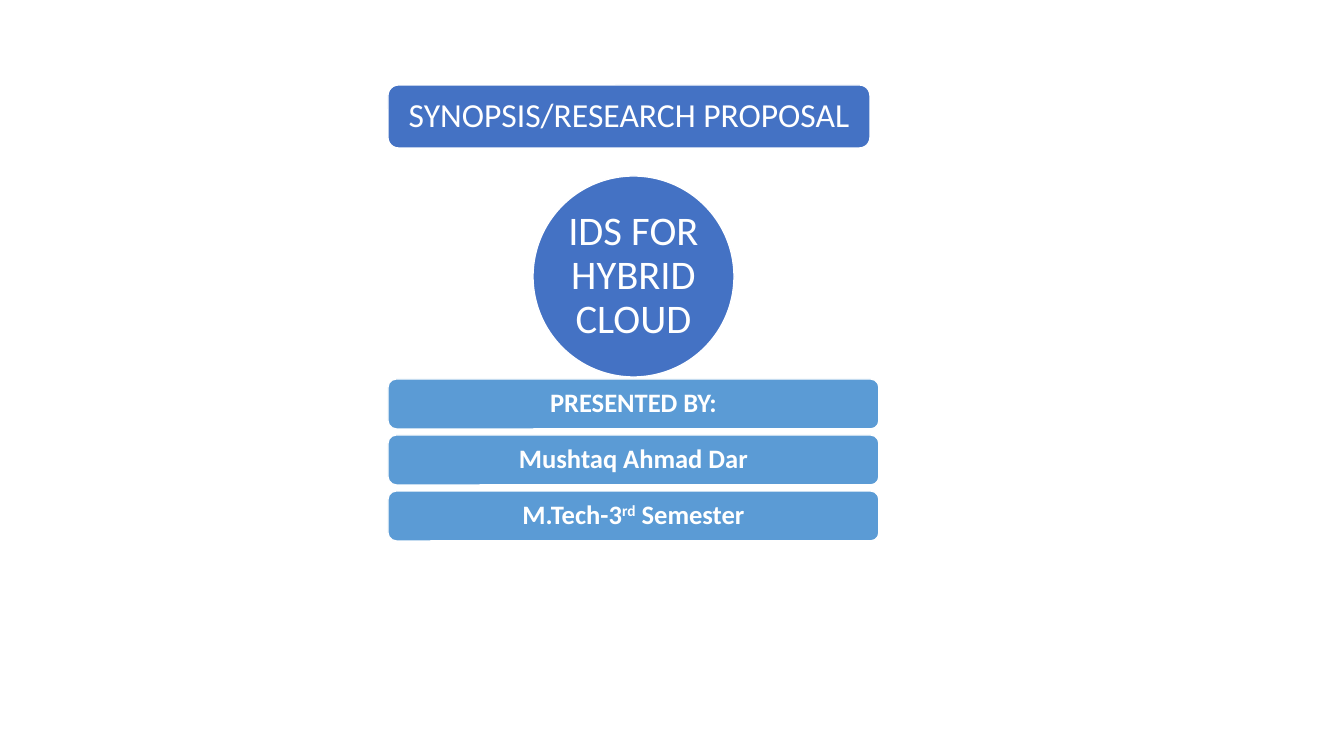
from pptx import Presentation
from pptx.dml.color import RGBColor
from pptx.enum.shapes import MSO_SHAPE
from pptx.enum.text import MSO_ANCHOR, MSO_AUTO_SIZE, PP_ALIGN
from pptx.util import Emu, Pt

ROUND, OVAL = MSO_SHAPE.ROUNDED_RECTANGLE, MSO_SHAPE.OVAL
MIDDLE, CENTER, NO_FIT = MSO_ANCHOR.MIDDLE, PP_ALIGN.CENTER, MSO_AUTO_SIZE.NONE

WHITE = RGBColor(0xFF, 0xFF, 0xFF)
NAVY = RGBColor(0x44, 0x72, 0xC4)
SKY = RGBColor(0x5B, 0x9B, 0xD5)

SIDES = ("left", "top", "width", "height")
WIDE, HIGH = 1344, 756
TITLE_BOX = (388, 85, 482, 63)
TOPIC_BOX = (533, 176, 201, 201)
BAR_BOX = (388, 379, 491, 50)
BAR_STEP = 56
BARS = (
    (("PRESENTED BY:", False),),
    (("Mushtaq Ahmad Dar", False),),
    (("M.Tech-3", False), ("rd", True), (" Semester", False)),
)


def px(n):
    return Emu(round(n * 914400 / 100.8))


def assign(target, values):
    for name, value in values.items():
        setattr(target, name, value)


class Deck:
    font = "Calibri"

    def __init__(self):
        self.prs = Presentation()
        assign(self.prs, {"slide_width": px(WIDE), "slide_height": px(HIGH)})
        self.slide = self.prs.slides.add_slide(self.prs.slide_layouts[5])

    def label(self, shape, runs, size, pad, bold=False):
        """Fill a shape with one centred paragraph of (text, raised) runs."""
        frame = shape.text_frame
        assign(frame, {"word_wrap": True, "auto_size": NO_FIT,
                       "vertical_anchor": MIDDLE})
        assign(frame, {f"margin_{side}": px(pad)
                       for side in ("left", "top", "right", "bottom")})
        para = frame.paragraphs[0]
        assign(para, {"alignment": CENTER, "line_spacing": 0.9})
        for text, raised in runs:
            run = para.add_run()
            run.text = text
            assign(run.font, {"name": self.font, "size": Pt(size), "bold": bold})
            run.font.color.rgb = WHITE
            if raised:
                run.font._element.set("baseline", "30000")

    def plate(self, kind, box, fill):
        shape = self.slide.shapes.add_shape(kind, *map(px, box))
        shape.shadow.inherit = False
        shape.fill.solid()
        shape.fill.fore_color.rgb = fill
        shape.line.color.rgb = WHITE
        shape.line.width = Pt(1)
        return shape

    def title(self, text, box):
        """Place the title placeholder on top of a rounded plate."""
        plate = self.plate(ROUND, box, NAVY)
        title = self.slide.shapes.title
        title._element.addprevious(plate._element)
        assign(title, dict(zip(SIDES, map(px, box))))
        self.label(title, ((text, False),), 24, 10)

    def topic(self, text, box):
        disc = self.plate(OVAL, box, NAVY)
        self.label(disc, ((text, False),), 29, 4)

    def bar(self, runs, box):
        self.label(self.plate(ROUND, box, SKY), runs, 19, 8, True)


def main():
    deck = Deck()
    deck.title("SYNOPSIS/RESEARCH PROPOSAL", TITLE_BOX)
    left, top, width, height = BAR_BOX
    for i, runs in enumerate(BARS):
        deck.bar(runs, (left, top + i * BAR_STEP, width, height))
    deck.topic("IDS FOR HYBRID CLOUD", TOPIC_BOX)
    deck.prs.save("out.pptx")


if __name__ == "__main__":
    main()
